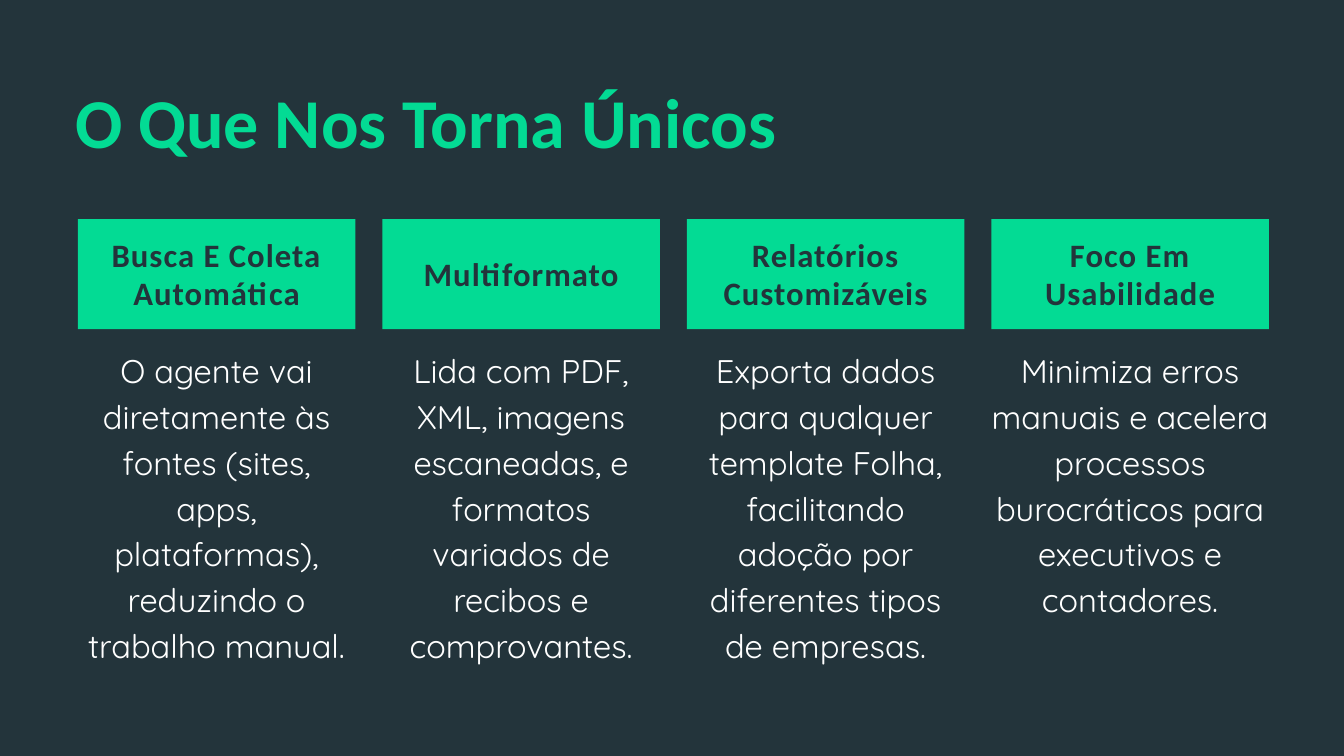
import pptx
import pptx.dml.color
import pptx.enum.shapes
import pptx.enum.text
import pptx.util

Pt = pptx.util.Pt
ALIGN = pptx.enum.text.PP_ALIGN
ANCHOR = pptx.enum.text.MSO_ANCHOR

DARK, GREEN, WHITE = "23343B", "03DB94", "FFFFFF"

# Column grid, in points
COLUMN_LEFT, COLUMN_PITCH, COLUMN_WIDTH = 83.5, 326.25, 297.25
HEADER_TOP, HEADER_HEIGHT = 234.7, 118.1
BODY_TOP, BODY_HEIGHT = 369.4, 291.6

TITLE_FONT = {"name": "Calibri", "size": Pt(75), "bold": True}
HEADER_FONT = {"name": "Calibri", "size": Pt(35), "bold": True}
BODY_FONT = {"name": "Quicksand", "size": Pt(35), "bold": False}

COLUMNS = [
    ("Busca E Coleta Automática",
     "O agente vai diretamente às fontes (sites, apps, plataformas), "
     "reduzindo o trabalho manual."),
    ("Multiformato",
     "Lida com PDF, XML, imagens escaneadas, e formatos variados de "
     "recibos e comprovantes."),
    ("Relatórios Customizáveis",
     "Exporta dados para qualquer template Folha, facilitando adoção por "
     "diferentes tipos de empresas."),
    ("Foco Em Usabilidade",
     "Minimiza erros manuais e acelera processos burocráticos para "
     "executivos e contadores."),
]


def paint(color_format, color):
    color_format.rgb = pptx.dml.color.RGBColor.from_string(color)


def set_values(target, values):
    for name, value in values.items():
        setattr(target, name, value)


def write_text(shape, text, font, color, line_spacing, align, anchor):
    frame = shape.text_frame
    set_values(frame, {
        "margin_left": 0, "margin_top": 0, "margin_right": 0,
        "margin_bottom": 0, "word_wrap": True, "vertical_anchor": anchor,
        "auto_size": pptx.enum.text.MSO_AUTO_SIZE.NONE,
    })
    para = frame.paragraphs[0]
    set_values(para, {"alignment": align, "line_spacing": Pt(line_spacing)})
    span = para.add_run()
    span.text = text
    set_values(span.font, font)
    paint(span.font.color, color)
    return span


def add_title(page, text):
    title = page.shapes.title
    set_values(title, {"left": Pt(80.6), "top": Pt(69.1),
                       "width": Pt(1223.3), "height": Pt(102.2)})
    write_text(title, text, TITLE_FONT, GREEN, 105, ALIGN.LEFT, ANCHOR.TOP)


def add_header(page, left, text):
    box = page.shapes.add_shape(
        pptx.enum.shapes.MSO_SHAPE.RECTANGLE,
        Pt(left), Pt(HEADER_TOP), Pt(COLUMN_WIDTH), Pt(HEADER_HEIGHT))
    box.shadow.inherit = False
    box.fill.solid()
    paint(box.fill.fore_color, GREEN)
    box.line.fill.background()
    span = write_text(box, text, HEADER_FONT, DARK, 40.2,
                      ALIGN.CENTER, ANCHOR.MIDDLE)
    # Letter spacing, in hundredths of a point
    span._r.get_or_add_rPr().set("spc", "110")


def add_body(page, left, text):
    box = page.shapes.add_textbox(
        Pt(left), Pt(BODY_TOP), Pt(COLUMN_WIDTH), Pt(BODY_HEIGHT))
    write_text(box, text, BODY_FONT, WHITE, 49, ALIGN.CENTER, ANCHOR.TOP)


def main():
    deck = pptx.Presentation()
    set_values(deck, {"slide_width": Pt(1440), "slide_height": Pt(810)})
    page = deck.slides.add_slide(deck.slide_layouts.get_by_name("Title Only"))

    # Background and title
    page.background.fill.solid()
    paint(page.background.fill.fore_color, DARK)
    add_title(page, "O Que Nos Torna Únicos")

    # Four columns: header above description
    for index, (header, body) in enumerate(COLUMNS):
        left = COLUMN_LEFT + index * COLUMN_PITCH
        add_header(page, left, header)
        add_body(page, left, body)

    deck.save("out.pptx")


if __name__ == "__main__":
    main()
